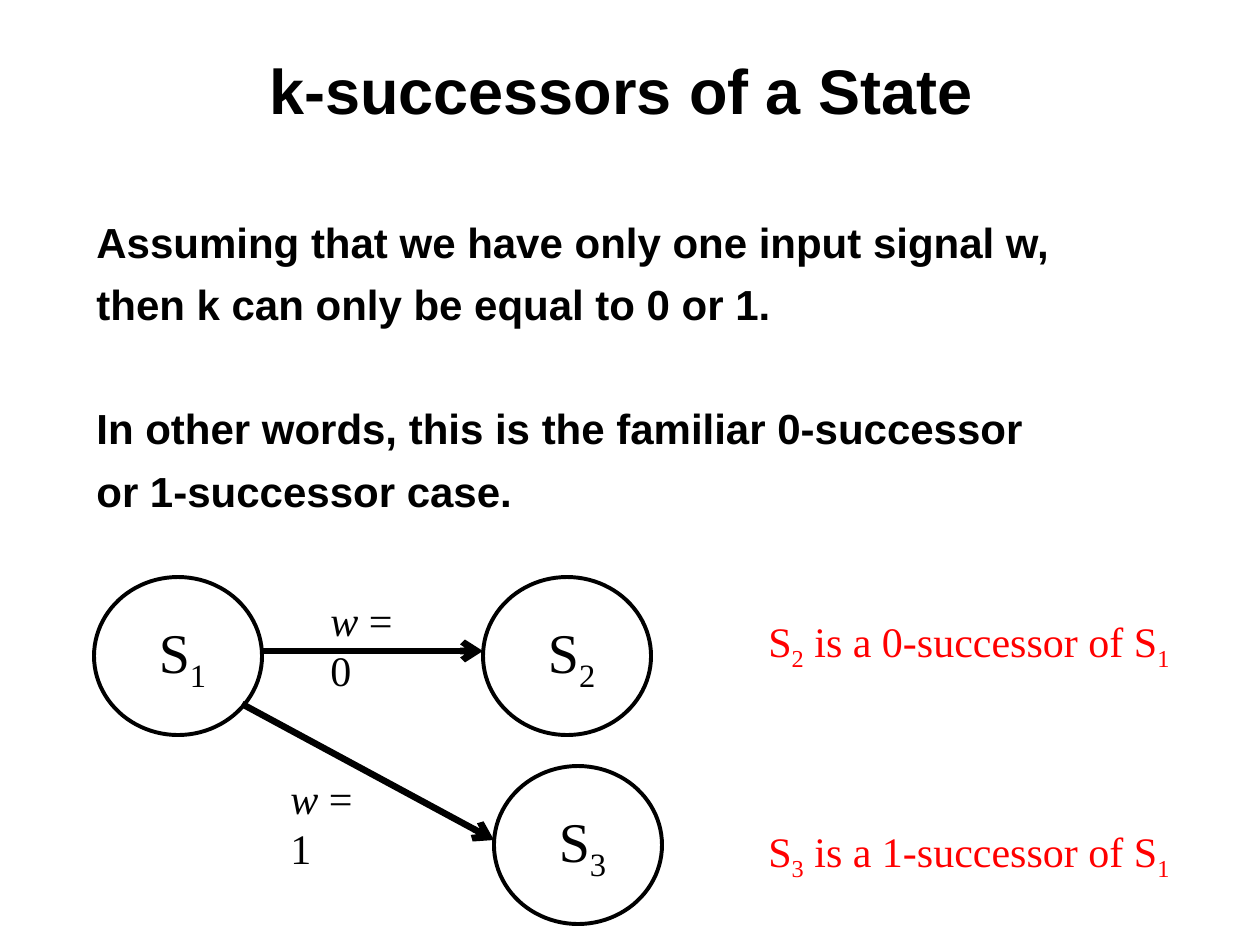
import pptx
import pptx.dml.color
import pptx.enum.shapes
import pptx.enum.text
import pptx.oxml
import pptx.oxml.ns
import pptx.util

PX = 914400 / 126
ALIGN = pptx.enum.text.PP_ALIGN
ANCHOR = pptx.enum.text.MSO_ANCHOR


def px(n):
    return pptx.util.Emu(round(n * PX))


def color(value):
    return pptx.dml.color.RGBColor.from_string(value)


class Deck:
    SERIF = "Times New Roman"
    SANS = "Arial"
    BLACK, WHITE, RED = "000000", "FFFFFF", "FF0000"

    def __init__(self, width, height):
        self.prs = pptx.Presentation()
        self.prs.slide_width, self.prs.slide_height = px(width), px(height)
        self.s = self.prs.slides.add_slide(self.prs.slide_layouts[6])

    def add_runs(self, p, runs, size, font=SERIF, ink=BLACK, bold=False):
        """Runs are (text, style) pairs; style is "", "i" or "sub"."""
        for text, style in runs:
            r = p.add_run()
            r.text = text
            form = {"name": font, "size": pptx.util.Pt(size),
                    "bold": bold, "italic": style == "i"}
            for key, value in form.items():
                setattr(r.font, key, value)
            r.font.color.rgb = color(ink)
            if style == "sub":
                r._r.get_or_add_rPr().set("baseline", "-25000")

    def text(self, x, y, w, h, paragraphs, size, wrap=True, anchor=ANCHOR.TOP,
             align=ALIGN.LEFT, **style):
        """Paragraphs are (space before in points, runs) pairs."""
        tf = self.s.shapes.add_textbox(px(x), px(y), px(w), px(h)).text_frame
        tf.word_wrap, tf.vertical_anchor = wrap, anchor
        for i, (before, runs) in enumerate(paragraphs):
            p = tf.add_paragraph() if i else tf.paragraphs[0]
            p.alignment, p.space_before = align, pptx.util.Pt(before)
            self.add_runs(p, runs, size, **style)

    def state(self, x, y, number):
        sp = self.s.shapes.add_shape(pptx.enum.shapes.MSO_SHAPE.OVAL,
                                     px(x), px(y), px(168), px(158))
        sp.shadow.inherit = False
        sp.fill.solid()
        sp.fill.fore_color.rgb = color(self.WHITE)
        sp.line.color.rgb = color(self.BLACK)
        sp.line.width = pptx.util.Pt(2.25)
        tf = sp.text_frame
        form = {"margin_left": px(9), "margin_right": 0, "margin_top": 0,
                "margin_bottom": 0, "vertical_anchor": ANCHOR.MIDDLE}
        for key, value in form.items():
            setattr(tf, key, value)
        p = tf.paragraphs[0]
        p.alignment = ALIGN.CENTER
        self.add_runs(p, [("S", ""), (number, "sub")], 32)

    def arrow(self, x1, y1, x2, y2):
        c = self.s.shapes.add_connector(pptx.enum.shapes.MSO_CONNECTOR.STRAIGHT,
                                        px(x1), px(y1), px(x2), px(y2))
        c.line.color.rgb = color(self.BLACK)
        c.line.width = pptx.util.Pt(3.75)
        ns = pptx.oxml.ns.nsdecls("a")
        c.line._get_or_add_ln().append(
            pptx.oxml.parse_xml(f'<a:tailEnd {ns} type="arrow"/>'))
        c._element.spPr.append(pptx.oxml.parse_xml(f"<a:effectLst {ns}/>"))

    def condition(self, x, y, value):
        self.text(x, y, 118, 63, [(0, [("w", "i"), (f" = {value}", "")])],
                  24, wrap=False)

    def remark(self, y, state, k):
        runs = [("S", ""), (state, "sub"),
                (f" is a {k}-successor of S", ""), ("1", "sub")]
        self.text(756, y, 426, 71, [(0, runs)], 24, wrap=False, ink=self.RED)


def main():
    deck = Deck(1260, 945)

    # Title
    deck.text(0, 42, 1242, 94, [(0, [("k-successors of a State", "")])], 36,
              anchor=ANCHOR.MIDDLE, align=ALIGN.CENTER,
              font=Deck.SANS, bold=True)

    # Explanation, with a wide gap before the second statement
    lines = [(7, "Assuming that we have only one input signal w,"),
             (7, "then k can only be equal to 0 or 1."),
             (42, "In other words, this is the familiar 0-successor"),
             (7, "or 1-successor case.")]
    deck.text(84, 210, 1092, 336, [(gap, [(t, "")]) for gap, t in lines], 24,
              font=Deck.SANS, bold=True)

    # State diagram
    for x, y, number in [(94, 577, "1"), (483, 577, "2"), (494, 766, "3")]:
        deck.state(x, y, number)
    deck.arrow(262, 651, 483, 651)
    deck.arrow(242, 704, 494, 840)
    deck.condition(318, 588, 0)
    deck.condition(278, 766, 1)

    # Remarks beside the diagram
    deck.remark(609, "2", 0)
    deck.remark(819, "3", 1)

    deck.prs.save("out.pptx")


if __name__ == "__main__":
    main()
